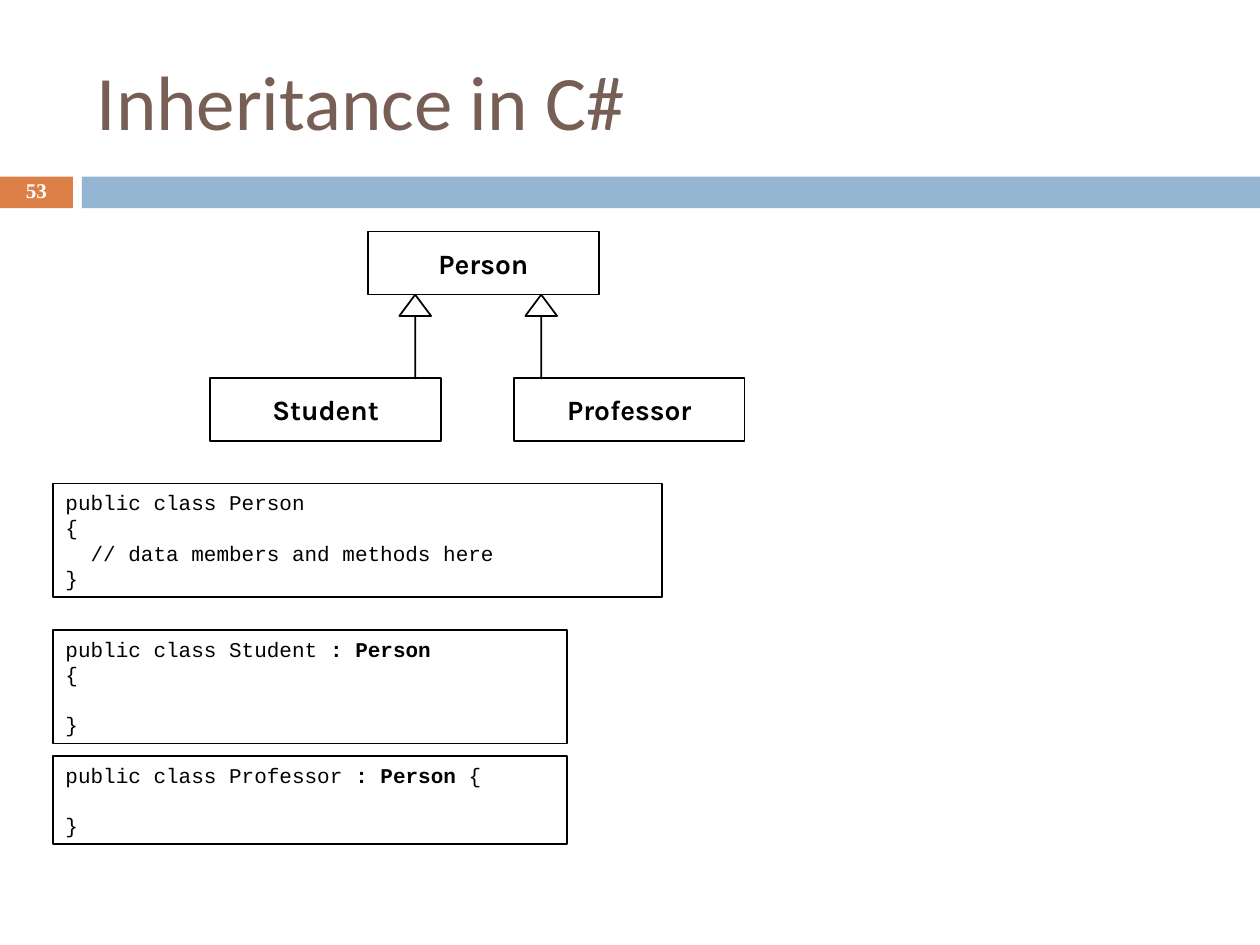
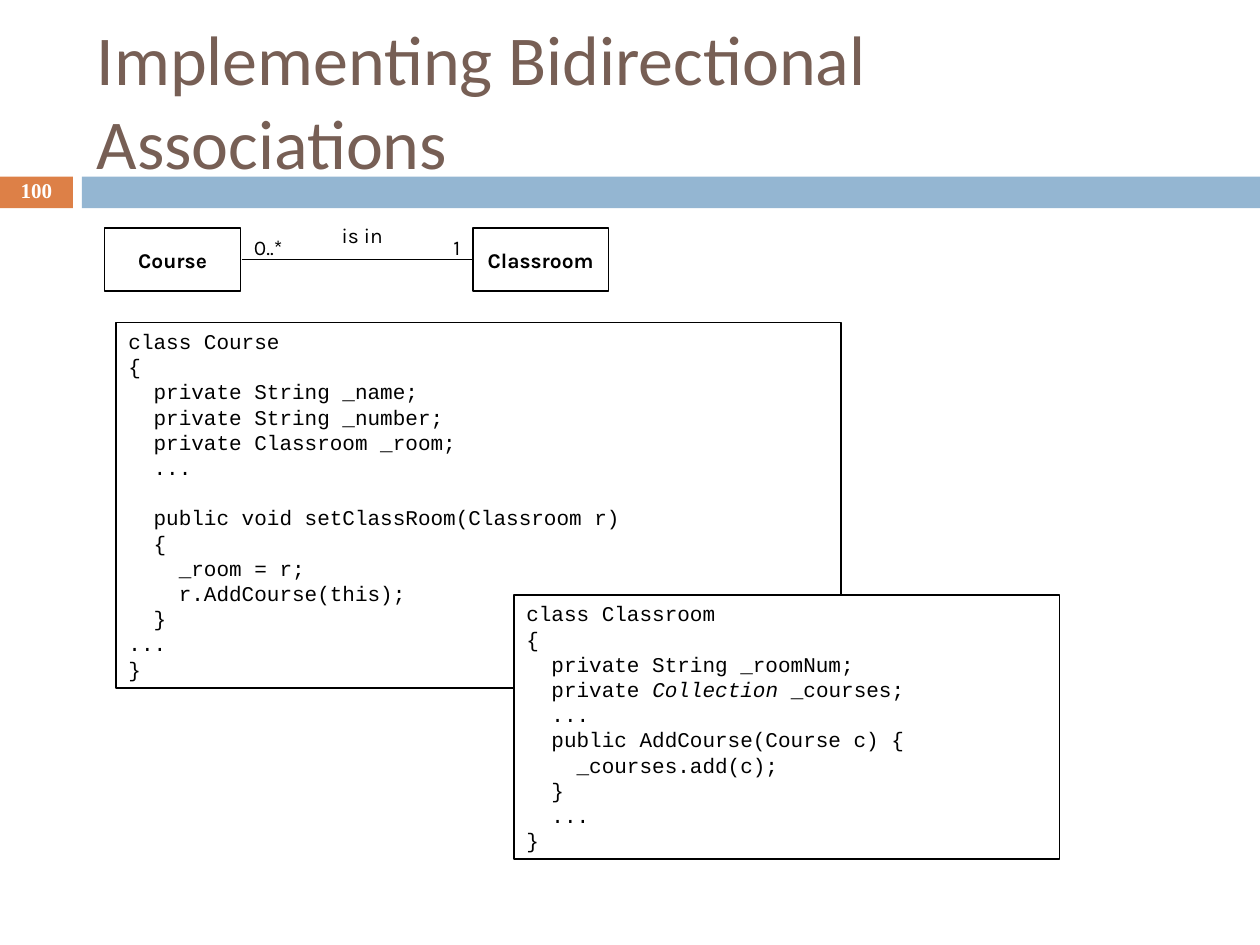
from lxml import etree
from pptx import Presentation
from pptx.dml.color import RGBColor
from pptx.enum.shapes import MSO_CONNECTOR, MSO_SHAPE
from pptx.enum.text import MSO_ANCHOR, PP_ALIGN
from pptx.oxml.ns import qn
from pptx.util import Cm, Pt

RECT, ARROW = MSO_SHAPE.RECTANGLE, MSO_SHAPE.DOWN_ARROW
STRAIGHT = MSO_CONNECTOR.STRAIGHT
LEFT, CENTER = PP_ALIGN.LEFT, PP_ALIGN.CENTER
TOP, MIDDLE = MSO_ANCHOR.TOP, MSO_ANCHOR.MIDDLE
BROWN = RGBColor(0x77, 0x5F, 0x55)
ORANGE = RGBColor(0xDD, 0x80, 0x47)
BLUE = RGBColor(0x94, 0xB6, 0xD2)
BLACK = RGBColor(0, 0, 0)
WHITE = RGBColor(0xFF, 0xFF, 0xFF)
CODE_LINE = Pt(14.4)

PERSON_CODE = """public class Person
{
  // data members and methods here
}"""
STUDENT_CODE = """public class Student : Person
{

}"""
PROFESSOR_CODE = """public class Professor : Person {

}"""
COURSE_CODE = """class Course
{
  private String _name;
  private String _number;
  private Classroom _room;
  ...

  public void setClassRoom(Classroom r)
  {
    _room = r;
    r.AddCourse(this);
  }
...
}"""
CLASSROOM_CODE = """class Classroom
{
  private String _roomNum;
  private Collection _courses;
  ...
  public AddCourse(Course c) {
    _courses.add(c);
  }
  ...
}"""


def add_box(s, x, y, w, h, fill=WHITE, line=BLACK, kind=RECT):
    sp = s.shapes.add_shape(kind, Cm(x), Cm(y), Cm(w), Cm(h))
    sp.shadow.inherit = False
    sp.fill.solid()
    sp.fill.fore_color.rgb = fill
    if line is None:
        sp.line.fill.background()
    else:
        sp.line.color.rgb = line
        sp.line.width = Pt(1)
    return sp


def add_text(sp, text, font, size, color=BLACK, bold=False, align=LEFT,
             anchor=TOP, wrap=True, strong="", slanted=""):
    tf = sp.text_frame
    tf.word_wrap = wrap
    tf.vertical_anchor = anchor
    p, gap = tf.paragraphs[0], 0
    for i, line in enumerate(text.split("\n")):
        if not line:
            gap += CODE_LINE
            continue
        if i:
            p = tf.add_paragraph()
        p.alignment = align
        if gap:
            p.space_before, gap = gap, 0
        mark = strong or slanted
        parts = line.partition(mark) if mark else (line,)
        for part in filter(None, parts):
            r = p.add_run()
            r.text = part
            r.font.name, r.font.size = font, Pt(size)
            r.font.color.rgb = color
            r.font.bold = bold or part == strong
            r.font.italic = part == slanted


prs = Presentation()
prs.slide_width, prs.slide_height = Cm(25.4), Cm(19.05)

slides = []
for title, size, number in [("Inheritance in C#", 44, "53"),
                            ("Implementing Bidirectional Associations", 40, "100")]:
    s = prs.slides.add_slide(prs.slide_layouts[6])
    add_box(s, 1.65, 3.56, 23.75, 0.64, BLUE, None)
    sp = add_box(s, 0, 3.56, 1.47, 0.64, ORANGE, None)
    add_text(sp, number, "Times New Roman", 12, WHITE, True, CENTER, MIDDLE)
    sp.text_frame.paragraphs[0].line_spacing = 0.8
    sp = s.shapes.add_textbox(Cm(1.7), Cm(0.64), Cm(22.66), Cm(2.74))
    add_text(sp, title, "Calibri", size, BROWN, anchor=MIDDLE)
    slides.append(s)
inheritance, association = slides

for name, x, y in [("Person", 7.42, 4.67), ("Student", 4.24, 7.62),
                   ("Professor", 10.36, 7.62)]:
    sp = add_box(inheritance, x, y, 4.65, 1.27)
    add_text(sp, name, "Karla", 16, BLACK, True, CENTER, MIDDLE, False)

for x in (8.05, 10.59):
    sp = add_box(inheritance, x, 5.94, 0.64, 1.69, kind=ARROW)
    sp.adjustments[0], sp.adjustments[1] = 0, 0.67
    sp.rotation = 180

for name, x in [("Course", 2.11), ("Classroom", 9.53)]:
    sp = add_box(association, x, 4.6, 2.74, 1.27)
    add_text(sp, name, "Karla", 12, BLACK, True, CENTER, MIDDLE, False)

link = association.shapes.add_connector(STRAIGHT, Cm(4.87), Cm(5.23), Cm(9.53), Cm(5.23))
link.line.color.rgb = BLACK
link.line.width = Pt(1)
etree.SubElement(link._element.spPr, qn("a:effectLst"))

for label, x, y, w, align in [("is in", 5.08, 4.37, 4.45, CENTER),
                              ("1", 8.89, 4.6, 1.47, LEFT),
                              ("0..*", 4.87, 4.6, 1.47, LEFT)]:
    sp = association.shapes.add_textbox(Cm(x), Cm(y), Cm(w), Cm(0.76))
    add_text(sp, label, "Karla", 12, align=align)

for s, code, x, y, w, h, strong, slanted in [
        (inheritance, PERSON_CODE, 1.07, 9.75, 12.27, 2.29, "", ""),
        (inheritance, STUDENT_CODE, 1.07, 12.7, 10.36, 2.29, ": Person", ""),
        (inheritance, PROFESSOR_CODE, 1.07, 15.24, 10.36, 1.78, ": Person", ""),
        (association, COURSE_CODE, 2.34, 6.5, 14.61, 7.37, "", ""),
        (association, CLASSROOM_CODE, 10.36, 11.99, 11, 5.33, "", "Collection")]:
    sp = add_box(s, x, y, w, h)
    add_text(sp, code, "Courier New", 12, strong=strong, slanted=slanted)

prs.save("out.pptx")
